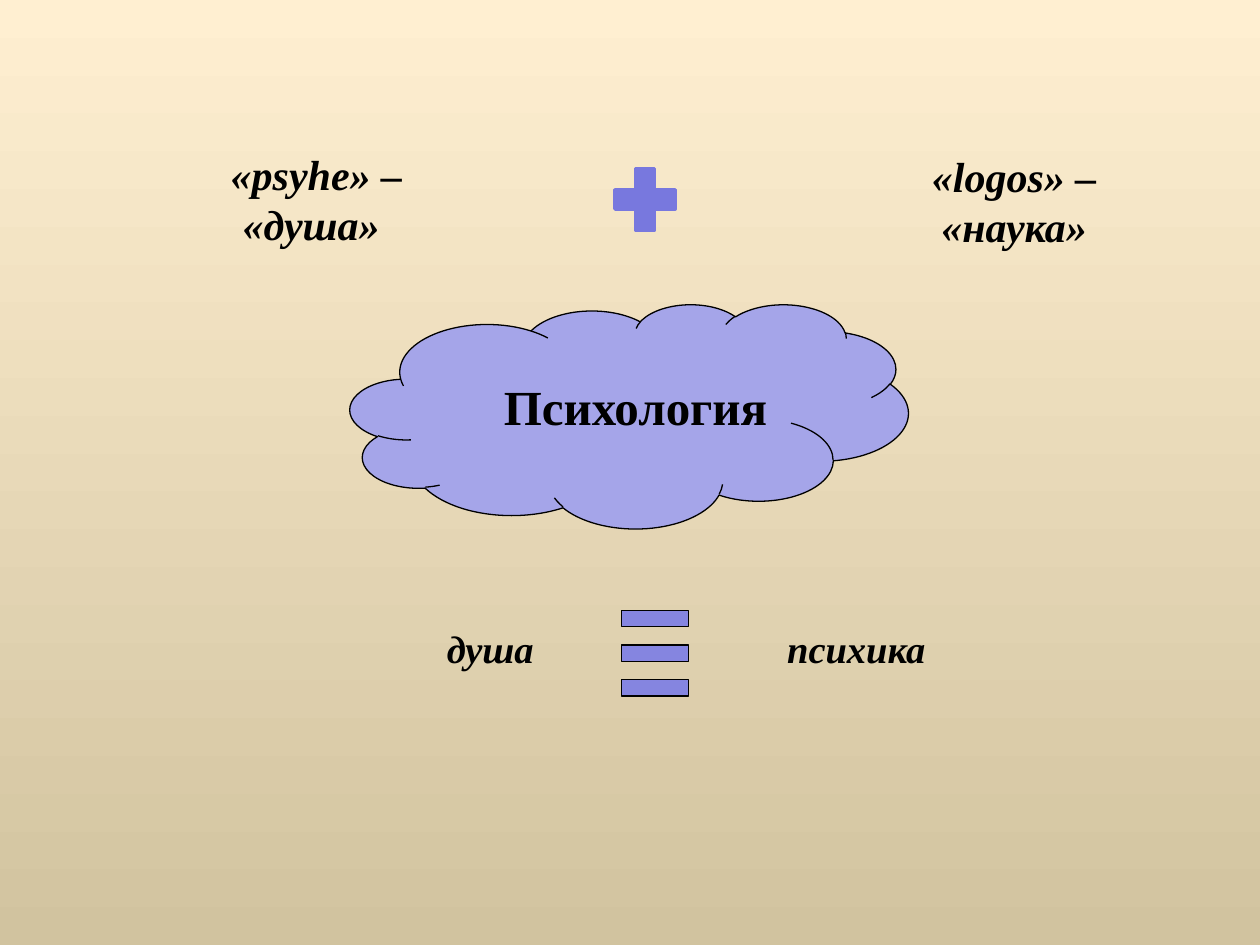
from pptx import Presentation
from pptx.dml.color import RGBColor
from pptx.enum.shapes import MSO_SHAPE
from pptx.enum.text import PP_ALIGN
from pptx.util import Cm, Pt

CLOUD, PLUS, MINUS = MSO_SHAPE.CLOUD, MSO_SHAPE.MATH_PLUS, MSO_SHAPE.MATH_MINUS
LEFT, CENTER = PP_ALIGN.LEFT, PP_ALIGN.CENTER
FONT = "Times New Roman"
BLACK = "000000"
BACKGROUND = ("FFEFD1", "D1C39F")

LABELS = [
    ("душа", (8.76, 12.47, 2.26, 1.19), 22, True, LEFT, False),
    ("психика", (15.62, 12.47, 3.3, 1.19), 22, True, LEFT, False),
    ("Психология", (9.91, 7.47, 5.87, 1.45), 28, False, LEFT, False),
    ("«psyhe» – «душа» ", (3.7, 2.87, 5.36, 2.29), 24, True, CENTER, True),
    ("«logos» – «наука»", (17.27, 2.9, 6.35, 2.29), 24, True, CENTER, True),
]
CLOUD_BOX = (7.06, 6.13, 11.25, 4.52)
PLUS_BOX = (12.18, 3.18, 1.65, 1.68)
BAR_LEFT, BAR_TOP, BAR_WIDTH, BAR_HEIGHT = 12.29, 11.77, 1.83, 1.4
BAR_COUNT, BAR_PITCH = 3, 0.7


def color(value):
    return RGBColor.from_string(value)


def lengths(box):
    return [Cm(value) for value in box]


def add_figure(slide, kind, box, fill, line, line_width):
    figure = slide.shapes.add_shape(kind, *lengths(box))
    figure.shadow.inherit = False
    figure.fill.solid()
    figure.fill.fore_color.rgb = color(fill)
    figure.line.color.rgb = color(line)
    figure.line.width = Pt(line_width)


def add_label(slide, wording, box, size, italic, align, wrap):
    frame = slide.shapes.add_textbox(*lengths(box)).text_frame
    frame.word_wrap = wrap
    frame.text = wording
    paragraph = frame.paragraphs[0]
    paragraph.alignment = align
    font = paragraph.runs[0].font
    font.name = FONT
    font.size = Pt(size)
    font.bold = True
    font.italic = italic
    font.color.rgb = color(BLACK)


def main():
    deck = Presentation()
    deck.slide_width, deck.slide_height = Cm(25.4), Cm(19.05)
    slide = deck.slides.add_slide(deck.slide_layouts[6])

    backdrop = slide.background.fill
    backdrop.gradient()
    backdrop.gradient_angle = 270
    for stop, shade in zip(backdrop.gradient_stops, BACKGROUND):
        stop.color.rgb = color(shade)

    add_figure(slide, CLOUD, CLOUD_BOX, "A5A5E9", BLACK, 0.75)
    for label in LABELS:
        add_label(slide, *label)
    add_figure(slide, PLUS, PLUS_BOX, "7878DE", "7878DE", 2)
    for index in range(BAR_COUNT):
        box = (BAR_LEFT, BAR_TOP + index * BAR_PITCH, BAR_WIDTH, BAR_HEIGHT)
        add_figure(slide, MINUS, box, "8585E0", BLACK, 0.75)

    deck.save("out.pptx")


if __name__ == "__main__":
    main()
